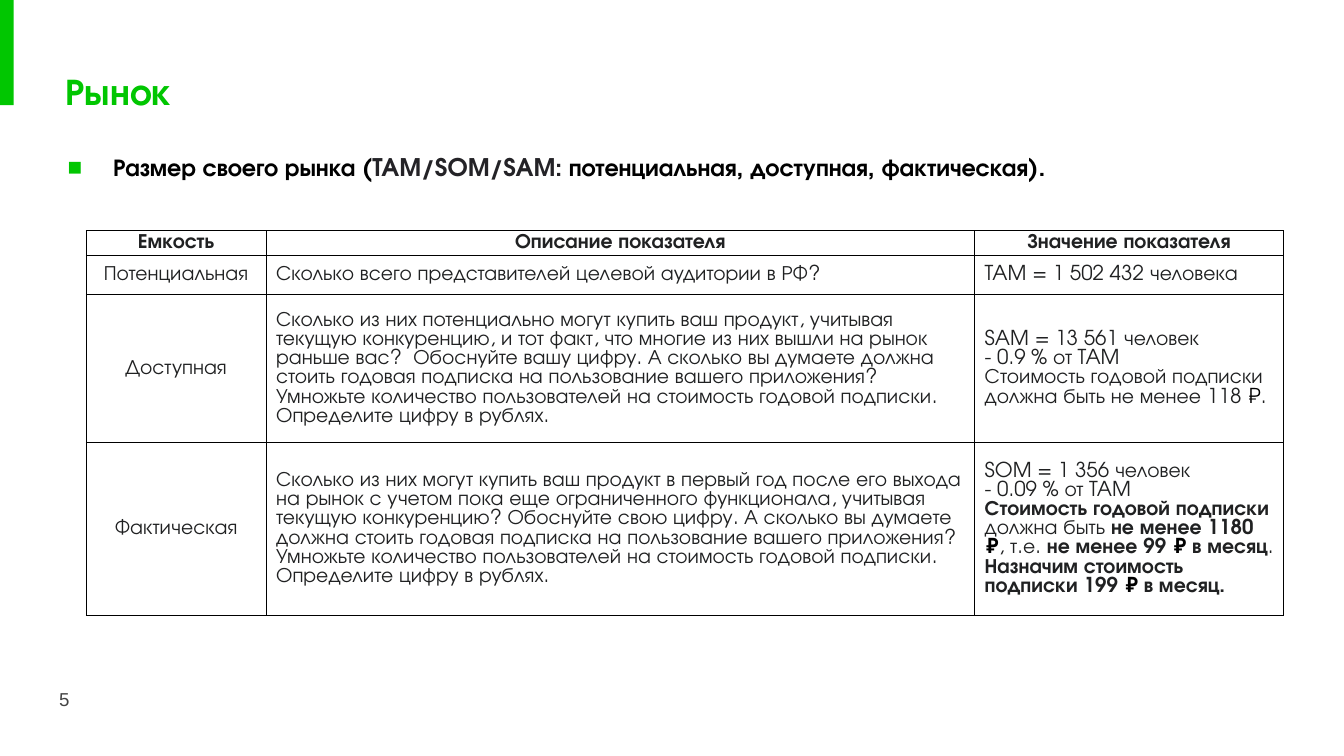
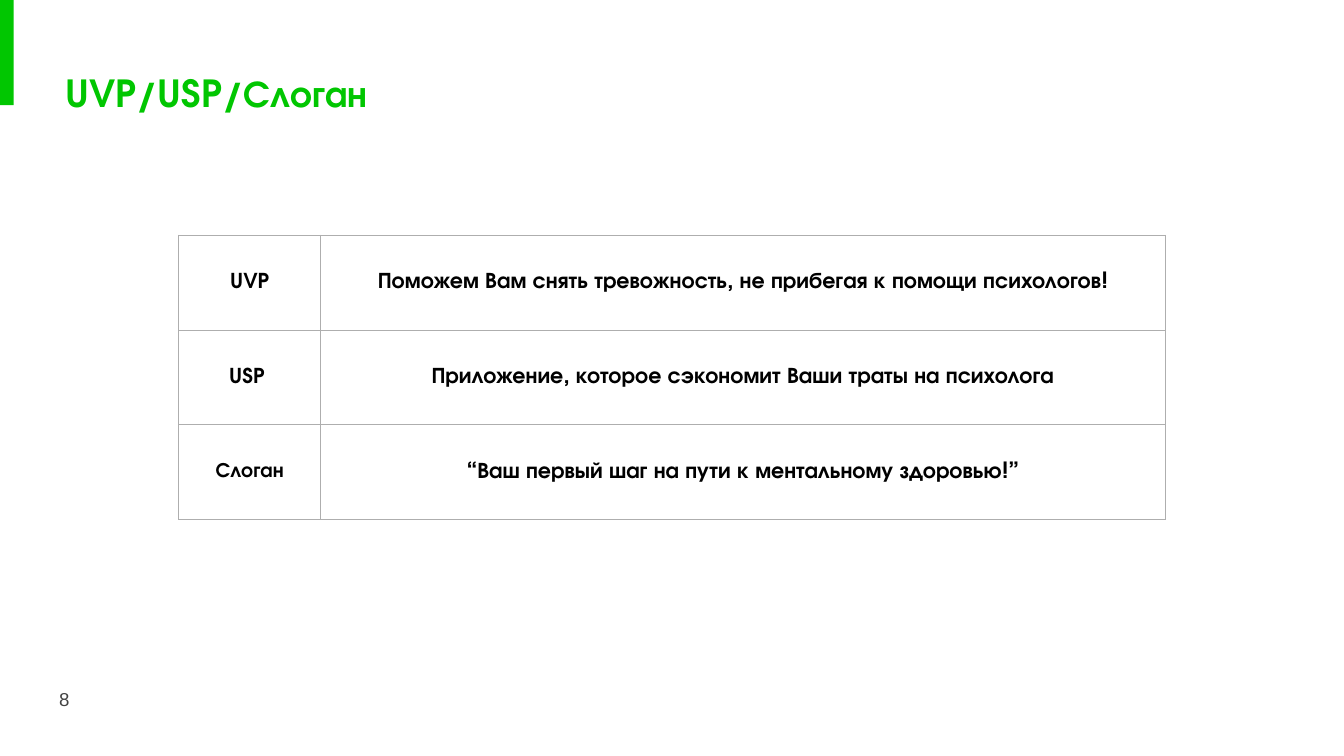
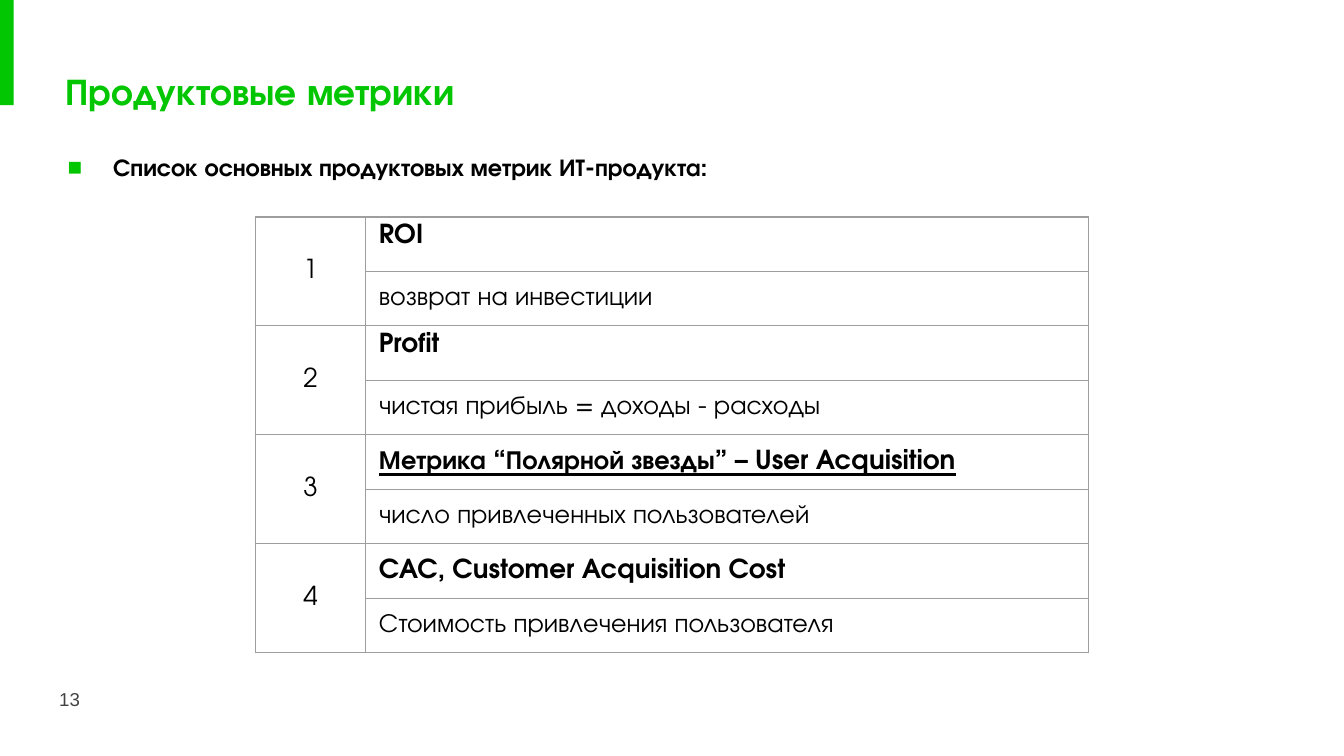
"""Build three product slides: market size, value propositions and metrics."""
from lxml.etree import SubElement
from pptx import Presentation
from pptx.dml.color import RGBColor
from pptx.enum.shapes import MSO_SHAPE
from pptx.enum.text import MSO_ANCHOR, MSO_AUTO_SIZE, PP_ALIGN
from pptx.oxml.ns import qn
from pptx.util import Cm, Pt

GREEN = "01C601"
BLACK = "000000"
FONT = "TeX Gyre Adventor"
INSETS = ("margin_left", "margin_right", "margin_top", "margin_bottom")


def paint(colour_format, colour):
    """Set a colour from a hex string."""
    colour_format.rgb = RGBColor.from_string(colour)


def write(para, text, size, colour, accent=BLACK, **extra):
    """Write text where *stars* mark bold and |bars| mark the accent colour."""
    for bold_index, part in enumerate(text.split("*")):
        for accent_index, piece in enumerate(part.split("|")):
            if not piece:
                continue
            span = para.add_run()
            span.text = piece
            values = {"name": FONT, "size": Pt(size), "bold": bold_index % 2 == 1} | extra
            for name, value in values.items():
                setattr(span.font, name, value)
            paint(span.font.color, accent if accent_index % 2 else colour)


PAGES = [
    {
        "number": "5", "title": "Рынок", "title_top": 1.02, "title_width": 13.82,
        "bullet": "*Размер своего рынка (|TAM/SOM/SAM: |потенциальная, доступная, фактическая).*",
        "bullet_width": 23.04,
        "place": (1.63, 4.36), "columns": (3.4, 13.39, 5.84), "rows": (0.47, 0.74, 2.79, 3.25),
        "sizes": (11, 11, 11), "colour": "202122", "border": (BLACK, 0.5),
        "insets": (0.19, 0), "centred_rows": 1,
        "cells": [
            ("*Емкость*", "*Описание показателя*", "*Значение показателя*"),
            ("Потенциальная", "Сколько всего представителей целевой аудитории в РФ?",
             "TAM = 1 502 432 человека"),
            ("Доступная",
             "Сколько из них потенциально могут купить ваш продукт, учитывая текущую "
             "конкуренцию, и тот факт, что многие из них вышли на рынок раньше вас?  "
             "Обоснуйте вашу цифру. А сколько вы думаете должна стоить годовая подписка "
             "на пользование вашего приложения? Умножьте количество пользователей на "
             "стоимость годовой подписки. Определите цифру в рублях.",
             "SAM = 13 561 человек\n- 0.9 % от TAM\n"
             "Стоимость годовой подписки должна быть не менее 118 |₽|."),
            ("Фактическая",
             "Сколько из них могут купить ваш продукт в первый год после его выхода на "
             "рынок с учетом пока еще ограниченного функционала, учитывая текущую "
             "конкуренцию? Обоснуйте свою цифру. А сколько вы думаете должна стоить "
             "годовая подписка на пользование вашего приложения? Умножьте количество "
             "пользователей на стоимость годовой подписки. Определите цифру в рублях.",
             "SOM = 1 356 человек\n- 0.09 % от TAM\n"
             "*Стоимость годовой подписки *должна быть *не менее 1180 |₽|*, т.е. "
             "*не менее 99 |₽| в месяц*.\n*Назначим стоимость подписки 199 |₽| в месяц.*"),
        ],
    },
    {
        "number": "8", "title": "UVP/USP/Слоган", "title_top": 1.07, "title_width": 13.82,
        "place": (3.38, 4.45), "columns": (2.68, 15.97), "rows": (1.79,) * 3,
        "sizes": (11, 12), "colour": BLACK, "border": ("AEAEAE", 0.75),
        "insets": (0.25, 0.13), "centred_rows": 3,
        "cells": [
            ("*UVP*", "*Поможем Вам снять тревожность, не прибегая к помощи психологов!*"),
            ("*USP *", "*Приложение, которое сэкономит Ваши траты на психолога*"),
            ("*Слоган*", "*“Ваш первый шаг на пути к ментальному здоровью!”*"),
        ],
    },
    {
        "number": "13", "title": "Продуктовые метрики", "title_top": 1.02, "title_width": 17.65,
        "bullet": "*Список основных продуктовых метрик ИТ-продукта:*", "bullet_width": 22.73,
        "place": (4.83, 4.1), "columns": (2.08, 13.66), "rows": (1.03,) * 8,
        "sizes": (14, 14), "colour": BLACK, "border": ("9E9E9E", 0.75),
        "insets": (0.25, 0.13), "centred_rows": 0,
        "top_cells": {(0, 1), (2, 1)}, "underlined": {(4, 1)},
        "cells": [
            ("1", "*ROI*"),
            (None, "возврат на инвестиции"),
            ("2", "*Profit*"),
            (None, "чистая прибыль = доходы - расходы"),
            ("3", "*Метрика “Полярной звезды” – User Acquisition*"),
            (None, "число привлеченных пользователей"),
            ("4", "*CAC, Customer Acquisition Cost*"),
            (None, "Стоимость привлечения пользователя"),
        ],
    },
]

deck = Presentation()
deck.slide_width, deck.slide_height = Cm(25.4), Cm(14.29)

for content in PAGES:
    page = deck.slides.add_slide(deck.slide_layouts[1 if "bullet" in content else 5])

    band = page.shapes.add_shape(MSO_SHAPE.RECTANGLE, 0, 0, Cm(0.26), Cm(1.99))
    band.shadow.inherit = False
    band.fill.solid()
    paint(band.fill.fore_color, GREEN)
    band.line.fill.background()

    number = page.shapes.add_textbox(0, 0, 0, 0)
    boxes = [
        (page.shapes.title, (0.99, content["title_top"], content["title_width"], 1.37),
         MSO_ANCHOR.MIDDLE),
        (number, (0.87, 12.76, 1.52, 1.09), MSO_ANCHOR.TOP),
    ]
    if "bullet" in content:
        body = page.placeholders[1]
        boxes.append((body, (0.62, 2.35, content["bullet_width"], 1.35), MSO_ANCHOR.TOP))
    for box, lengths, anchor in boxes:
        for name, length in zip(("left", "top", "width", "height"), lengths):
            setattr(box, name, Cm(length))
        frame = box.text_frame
        values = dict.fromkeys(INSETS, Cm(0.25)) | {
            "word_wrap": True, "vertical_anchor": anchor,
            "auto_size": MSO_AUTO_SIZE.NONE if box is number else MSO_AUTO_SIZE.SHAPE_TO_FIT_TEXT,
        }
        for name, value in values.items():
            setattr(frame, name, value)

    heading = page.shapes.title.text_frame.paragraphs[0]
    heading.alignment = PP_ALIGN.JUSTIFY
    write(heading, f"*{content['title']}*", 20, GREEN)
    write(number.text_frame.paragraphs[0], content["number"], 10, "434343", name="Arial")

    if "bullet" in content:
        para = body.text_frame.paragraphs[0]
        for name, value in {"alignment": PP_ALIGN.JUSTIFY, "line_spacing": 1.5,
                            "space_before": Pt(0)}.items():
            setattr(para, name, value)
        properties = para._p.get_or_add_pPr()
        properties.set("marL", str(Cm(1.27)))
        properties.set("indent", str(Cm(-0.86)))
        SubElement(SubElement(properties, qn("a:buClr")), qn("a:srgbClr"), val=GREEN)
        SubElement(properties, qn("a:buChar"), char="■")
        write(para, content["bullet"], 13, BLACK, "242327")

    columns, rows = content["columns"], content["rows"]
    left, top = content["place"]
    table = page.shapes.add_table(len(rows), len(columns), Cm(left), Cm(top),
                                  Cm(sum(columns)), Cm(sum(rows))).table
    table.first_row = table.horz_banding = False
    for column, width in zip(table.columns, columns):
        column.width = Cm(width)
    for row, height in zip(table.rows, rows):
        row.height = Cm(height)

    border_colour, border_width = content["border"]
    side_inset, end_inset = content["insets"]
    for row_index, texts in enumerate(content["cells"]):
        for column_index, text in enumerate(texts):
            position = (row_index, column_index)
            cell = table.cell(*position)
            for name, inset in zip(INSETS, (side_inset, side_inset, end_inset, end_inset)):
                setattr(cell, name, Cm(inset))
            on_top = position in content.get("top_cells", ())
            cell.vertical_anchor = MSO_ANCHOR.TOP if on_top else MSO_ANCHOR.MIDDLE
            for side in ("lnL", "lnR", "lnT", "lnB"):
                line = SubElement(cell._tc.get_or_add_tcPr(), qn(f"a:{side}"),
                                  w=str(Pt(border_width)))
                SubElement(SubElement(line, qn("a:solidFill")), qn("a:srgbClr"),
                           val=border_colour)
            cell.fill.background()
            if text is None:
                table.cell(row_index - 1, column_index).merge(cell)
                continue
            centred = column_index == 0 or row_index < content["centred_rows"]
            for index, words in enumerate(text.split("\n")):
                frame = cell.text_frame
                para = frame.add_paragraph() if index else frame.paragraphs[0]
                para.alignment = PP_ALIGN.CENTER if centred else PP_ALIGN.LEFT
                write(para, words, content["sizes"][column_index], content["colour"],
                      underline=position in content.get("underlined", ()))

deck.save("out.pptx")
